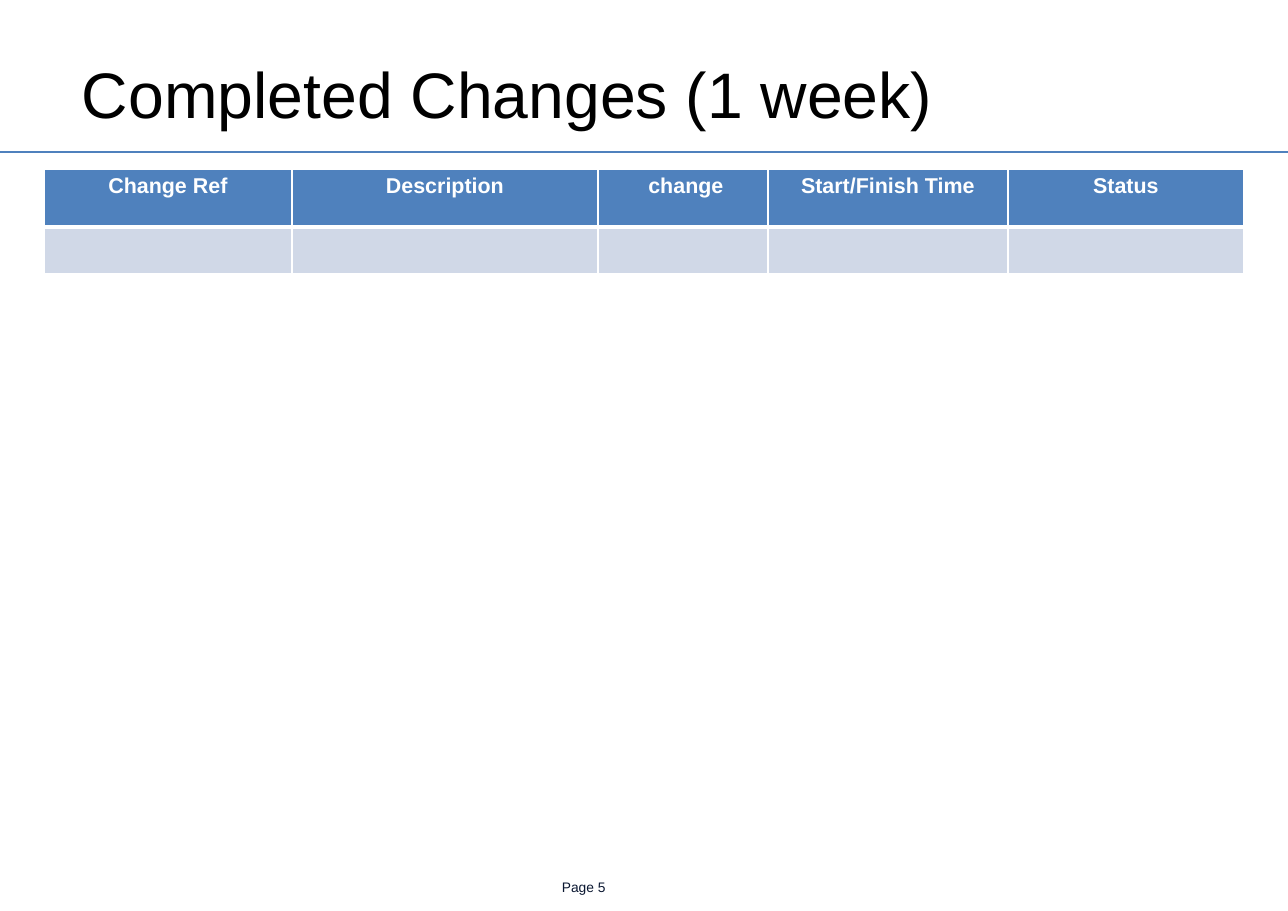
from lxml.etree import SubElement
from pptx import Presentation
from pptx.dml.color import RGBColor
from pptx.enum.shapes import MSO_CONNECTOR
from pptx.enum.text import MSO_ANCHOR as Anchor, MSO_AUTO_SIZE as AutoSize, PP_ALIGN as Align
from pptx.oxml import parse_xml
from pptx.oxml.ns import nsdecls, qn
from pptx.util import Pt

TITLE = "Completed Changes (1 week)"
PAGE_LABEL = " Page 5"
HEADINGS = ["Change Ref", "Description", " change", "Start/Finish Time", "Status"]
COLUMN_WIDTHS = [248, 306, 170, 240, 236]
ROWS = [
    {"height": 58, "fill": "4F81BD", "texts": HEADINGS, "top_border": 0.96},
    {"height": 48, "fill": "D0D8E7", "texts": [""] * len(HEADINGS), "top_border": 3},
]
SLIDE_SIZE = (1288, 911)
TITLE_BOX = (82, 61, 1160, 76)
PAGE_BOX = (558, 878, 83, 17)
TABLE_ORIGIN = (44, 169)
RULE_Y = 152
EMU_PER_PX = 8298


def px(*lengths):
    return [length * EMU_PER_PX for length in lengths]


def color(hex_value):
    return RGBColor.from_string(hex_value)


def set_all(target, **values):
    for name, value in values.items():
        setattr(target, name, value)


def write(text_frame, text, size, hex_value, bold=False, align=Align.LEFT):
    paragraph = text_frame.paragraphs[0]
    paragraph.alignment = align
    run = paragraph.add_run()
    run.text = text
    set_all(run.font, name="Arial", size=Pt(size), bold=bold)
    run.font.color.rgb = color(hex_value)
    return paragraph


def set_frame(text_frame, anchor, right=0):
    set_all(text_frame, word_wrap=True, auto_size=AutoSize.NONE, vertical_anchor=anchor,
            margin_left=0, margin_top=0, margin_right=right, margin_bottom=0)


def add_title(slide):
    title = slide.shapes.title
    for name, value in zip(("left", "top", "width", "height"), px(*TITLE_BOX)):
        setattr(title, name, value)
    set_frame(title.text_frame, Anchor.MIDDLE, px(10)[0])
    write(title.text_frame, TITLE, 42, "000000").line_spacing = 0.85


def add_rule(slide):
    rule = slide.shapes.add_connector(
        MSO_CONNECTOR.STRAIGHT, *px(0, RULE_Y, SLIDE_SIZE[0], RULE_Y))
    rule.line.color.rgb = color("4F81BD")
    rule.line.width = Pt(0.75)
    SubElement(rule._element.spPr, qn("a:effectLst"))


def set_borders(cell, top):
    properties = cell._tc.get_or_add_tcPr()
    widths = {"lnL": 0.96, "lnR": 0.96, "lnT": top, "lnB": 3}
    for position, (tag, width) in enumerate(widths.items()):
        properties.insert(position, parse_xml(
            f'<a:{tag} {nsdecls("a")} w="{Pt(width)}"><a:solidFill>'
            f'<a:srgbClr val="FFFFFF"/></a:solidFill></a:{tag}>'))


def add_changes_table(slide):
    size = (sum(COLUMN_WIDTHS), sum(row["height"] for row in ROWS))
    table = slide.shapes.add_table(
        len(ROWS), len(HEADINGS), *px(*TABLE_ORIGIN, *size)).table
    for column, width in zip(table.columns, px(*COLUMN_WIDTHS)):
        column.width = width
    for table_row, row in zip(table.rows, ROWS):
        table_row.height = px(row["height"])[0]
        for cell, text in zip(table_row.cells, row["texts"]):
            cell.fill.solid()
            cell.fill.fore_color.rgb = color(row["fill"])
            set_borders(cell, row["top_border"])
            if text:
                write(cell.text_frame, text, 14, "FFFFFF", True, Align.CENTER)


def add_page_label(slide):
    label = slide.shapes.add_textbox(*px(*PAGE_BOX))
    set_frame(label.text_frame, Anchor.BOTTOM)
    write(label.text_frame, PAGE_LABEL, 9, "0A1731")


def main():
    """Build the completed changes slide."""
    presentation = Presentation()
    presentation.slide_width, presentation.slide_height = px(*SLIDE_SIZE)
    slide = presentation.slides.add_slide(presentation.slide_layouts[5])
    add_rule(slide)
    add_page_label(slide)
    add_title(slide)
    add_changes_table(slide)
    presentation.save("out.pptx")


if __name__ == "__main__":
    main()
